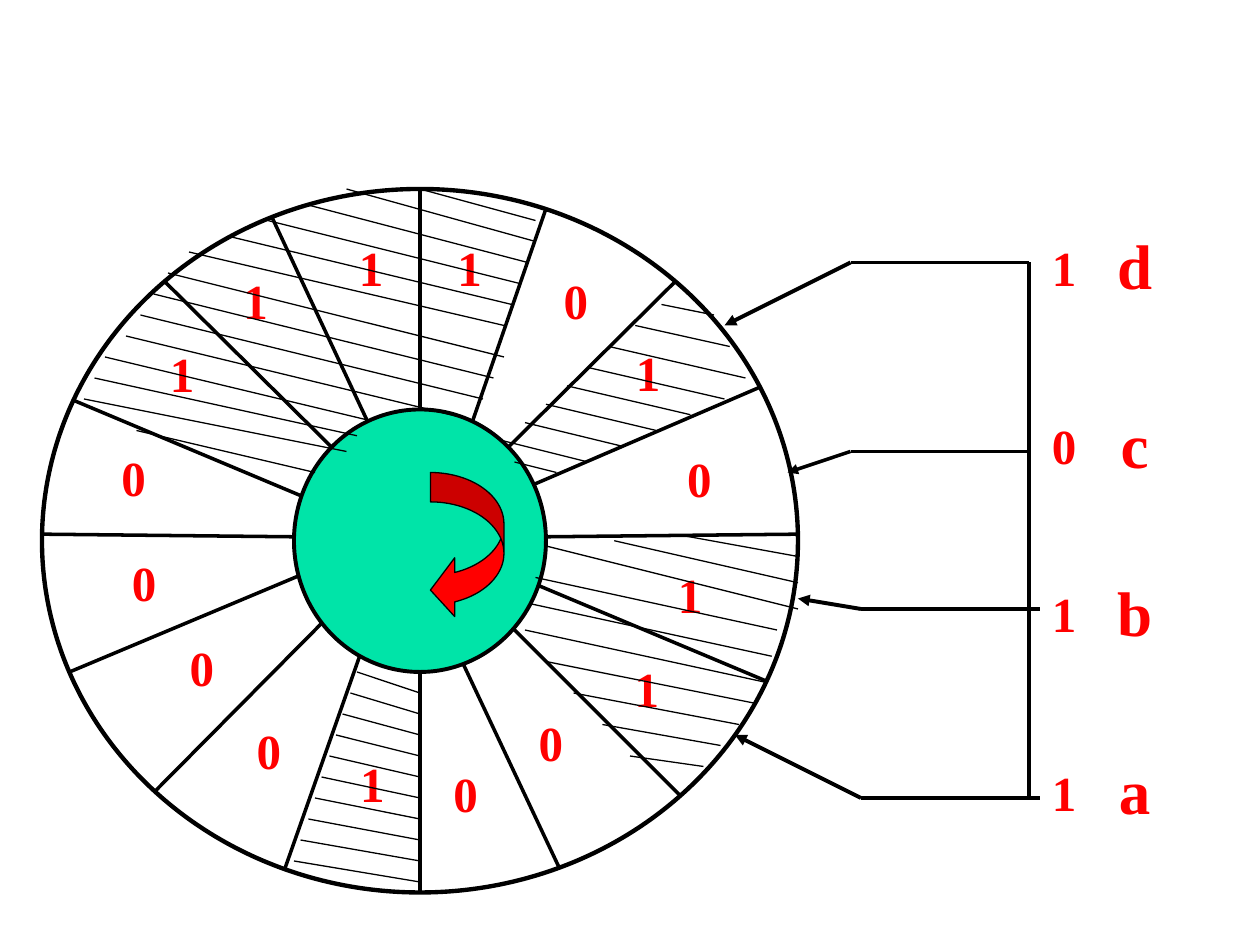
"""Build a slide with a coded disc, its sixteen bits and four readout lines."""
from math import cos, radians, sin
from lxml import etree
from pptx import Presentation
from pptx.dml.color import RGBColor
from pptx.enum.shapes import MSO_CONNECTOR, MSO_SHAPE
from pptx.enum.text import MSO_AUTO_SIZE, PP_ALIGN
from pptx.oxml.ns import qn
from pptx.util import Pt

PX = 9525
OVAL = MSO_SHAPE.OVAL
CURVE = MSO_SHAPE.CURVED_LEFT_ARROW
LINE = MSO_CONNECTOR.STRAIGHT
GROW = MSO_AUTO_SIZE.SHAPE_TO_FIT_TEXT
LEFT, MID = PP_ALIGN.LEFT, PP_ALIGN.CENTER
BLACK, RED, GREEN, WHITE = "000000", "FF0000", "00E4A8", "FFFFFF"
color = RGBColor.from_string

MIDX, MIDY = 320, 412
RIMX, RIMY = 288, 268
HUBX, HUBY = 96, 100
BITW, BITH = 37, 55
NAMEW, NAMEH = 61, 67

deck = Presentation()
deck.slide_width, deck.slide_height = 960 * PX, 720 * PX
shapes = deck.slides.add_slide(deck.slide_layouts[6]).shapes


def write(text, x, y, w=BITW, h=BITH, size=28, align=LEFT):
    box = shapes.add_textbox(round(x) * PX, round(y) * PX, w * PX, h * PX)
    frame = box.text_frame
    frame.word_wrap = True
    frame.auto_size = GROW
    para = frame.paragraphs[0]
    para.alignment = align
    run = para.add_run()
    run.text = text
    run.font.name = "Times New Roman"
    run.font.size = Pt(size)
    run.font.bold = True
    run.font.color.rgb = color(RED)


def draw(x1, y1, x2, y2, width=0.75, head=False):
    ends = [round(end) * PX for end in (x1, y1, x2, y2)]
    line = shapes.add_connector(LINE, *ends)
    line.line.width = Pt(width)
    line.line.color.rgb = color(BLACK)
    props = line._element.spPr
    if head:
        etree.SubElement(props.find(qn("a:ln")), qn("a:tailEnd"), type="triangle")
    etree.SubElement(props, qn("a:effectLst"))


solids = [
    (OVAL, MIDX - RIMX, MIDY - RIMY, 2 * RIMX, 2 * RIMY, WHITE, 2.5),
    (OVAL, MIDX - HUBX, MIDY - HUBY, 2 * HUBX, 2 * HUBY, GREEN, 2.25),
    (CURVE, 328, 360, 56, 112, RED, 0.75),
]
for kind, x, y, w, h, fill, width in solids:
    solid = shapes.add_shape(kind, x * PX, y * PX, w * PX, h * PX)
    solid.shadow.inherit = False
    solid.fill.solid()
    solid.fill.fore_color.rgb = color(fill)
    solid.line.color.rgb = color(BLACK)
    solid.line.width = Pt(width)
    if kind == CURVE:
        for i, value in enumerate((0.4, 0.8, 0.33)):
            solid.adjustments[i] = value

rims = [0, 19.5, 42.5, 64, 89, 113.5, 136.5, 158.5,
        180, 201, 224.5, 248, 271, 293.5, 317.5, 337]
hubs = [0, 24.5, 44.5, 64.5, 88, 110, 132, 160,
        180, 208.5, 231, 254.5, 272, 290, 315.5, 335.5]
for rim, hub in zip(rims, hubs):
    out, into = radians(rim), radians(hub)
    draw(MIDX + RIMX * sin(out), MIDY - RIMY * cos(out),
         MIDX + HUBX * sin(into), MIDY - HUBY * cos(into), width=2)

code = "1010110010000111"
turns = [9.5, 31, 51.5, 76.5, 102, 125, 149, 170.5,
         190.5, 214, 238, 261, 283.5, 307, 327.5, 350.5]
reach = [0.79, 0.8, 0.77, 0.76, 0.73, 0.73, 0.67, 0.73,
         0.7, 0.72, 0.68, 0.74, 0.78, 0.79, 0.81, 0.79]
for bit, turn, part in zip(code, turns, reach):
    angle = radians(turn)
    x = MIDX + part * RIMX * sin(angle)
    y = MIDY - part * RIMY * cos(angle)
    write(bit, x - BITW / 2, y - BITH / 2)

bands = {
    "upper right": [
        (3, (504, 232, 544, 240), (464, 264, 568, 288)),
        (5, (448, 280, 552, 304), (384, 336, 448, 352)),
        (1, (392, 352, 424, 360), (392, 352, 424, 360)),
    ],
    "upper left": [
        (1, (320, 144, 408, 168), (320, 144, 408, 168)),
        (5, (264, 144, 408, 184), (144, 192, 384, 248)),
        (4, (128, 208, 384, 272), (96, 256, 360, 320)),
        (3, (80, 272, 280, 320), (64, 304, 264, 344)),
        (1, (104, 328, 240, 360), (104, 328, 240, 360)),
    ],
    "lower right": [
        (3, (520, 408, 608, 424), (416, 416, 608, 464)),
        (3, (408, 440, 592, 480), (400, 480, 584, 520)),
        (4, (416, 504, 576, 536), (480, 576, 536, 584)),
    ],
    "bottom": [
        (10, (272, 512, 320, 528), (224, 656, 320, 672)),
    ],
}
for band in bands.values():
    for count, first, last in band:
        for row in range(count):
            part = row / max(1, count - 1)
            draw(*[a + (b - a) * part for a, b in zip(first, last)])

BUS, RUN = 784, 136
leads = [
    ("d", "1", 648, 200, 552, 248, 168, 2.25),
    ("c", "0", 648, 344, 600, 360, 304, 2),
    ("b", "1", 656, 464, 608, 456, 432, 2.25),
    ("a", "1", 656, 608, 560, 560, 568, 2.25),
]
for name, bit, bend, y, tipx, tipy, top, width in leads:
    draw(bend, y, bend + RUN, y, width=2)
    draw(bend, y, tipx, tipy, width=width, head=True)
    write(bit, BUS + 8, top + 8)
    write(name, BUS + 50, top, w=NAMEW, h=NAMEH, size=36, align=MID)
draw(BUS, leads[0][3], BUS, leads[-1][3], width=2.25)

deck.save("out.pptx")
